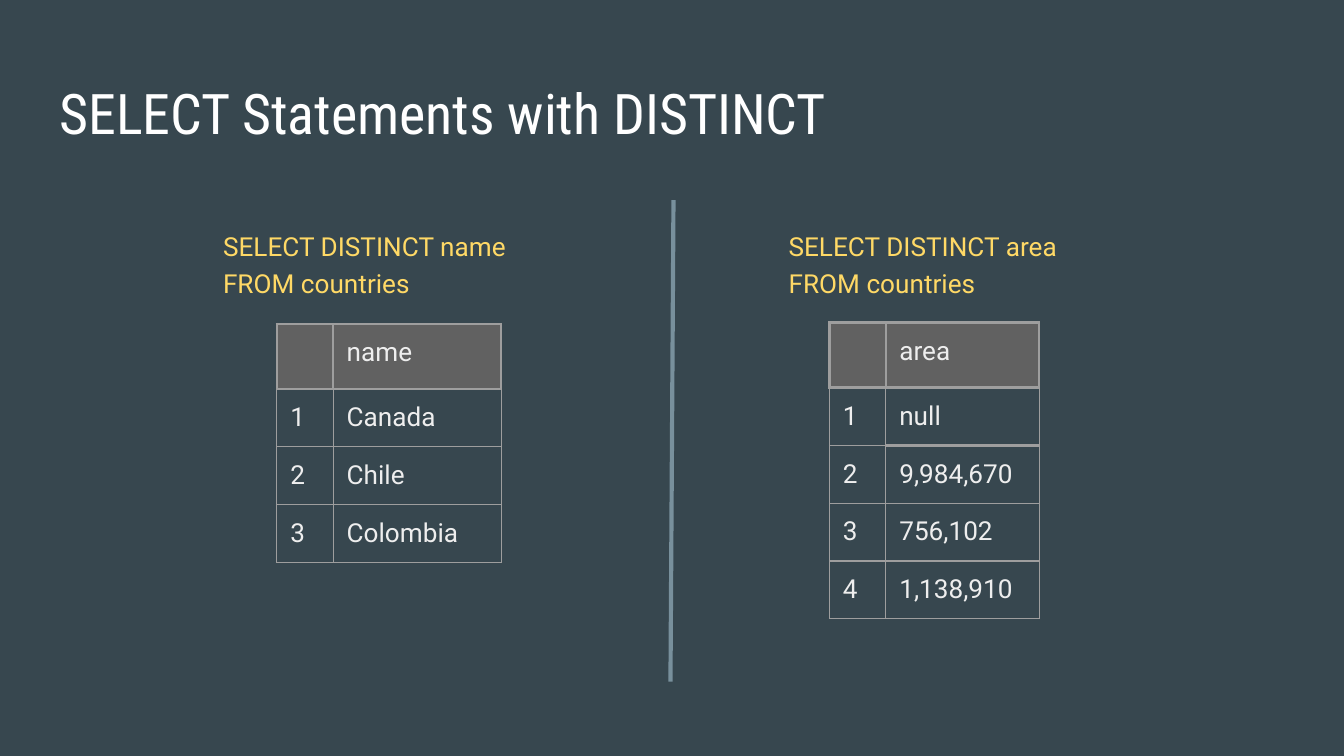
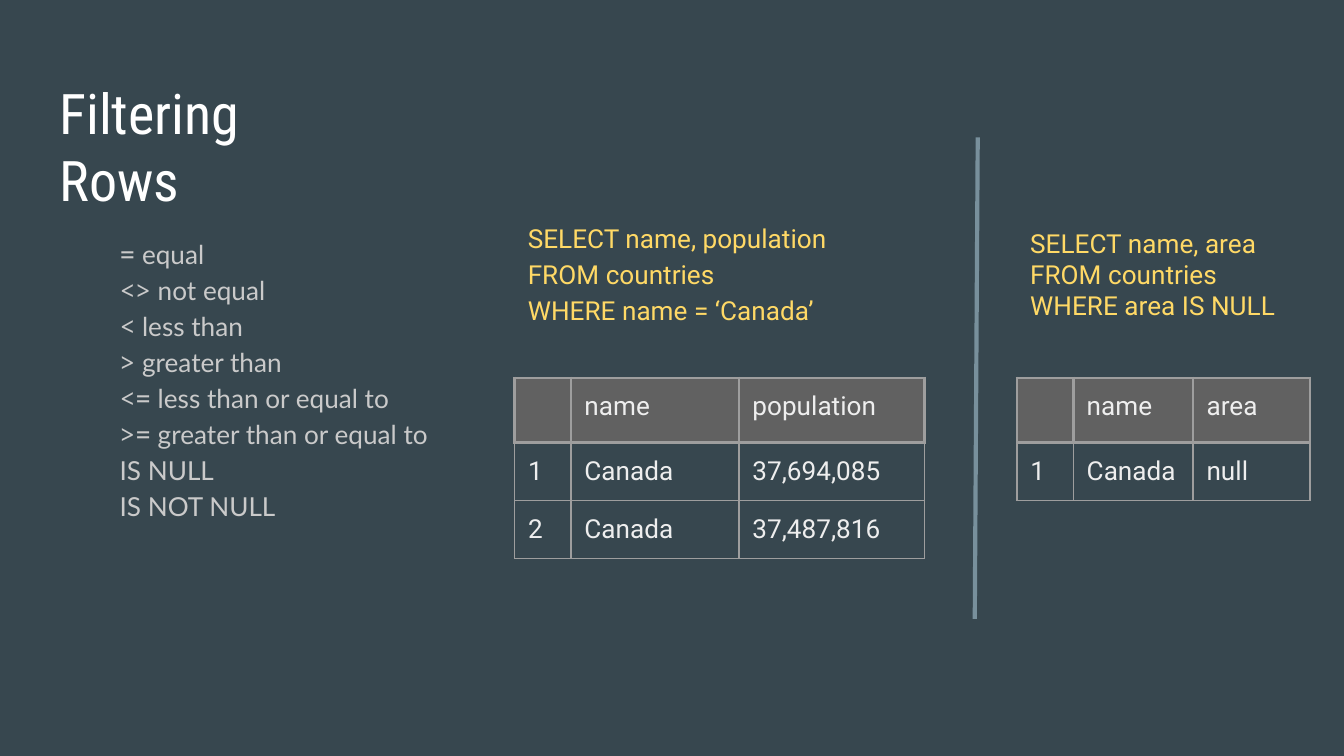
"""Build two slides on DISTINCT queries and row filters."""
from dataclasses import dataclass

from lxml.etree import SubElement as Sub
from pptx import Presentation
from pptx.dml.color import RGBColor
from pptx.enum.shapes import MSO_CONNECTOR as Conn
from pptx.enum.text import MSO_ANCHOR as Anchor, MSO_AUTO_SIZE as Auto, PP_ALIGN as Align
from pptx.oxml.ns import qn
from pptx.slide import Slide
from pptx.text.text import TextFrame
from pptx.util import Pt

SLATE = RGBColor(0x37, 0x47, 0x4F)
WHITE = RGBColor(0xFF, 0xFF, 0xFF)
GOLD = RGBColor(0xFF, 0xD9, 0x66)
SILVER = RGBColor(0xCA, 0xCA, 0xCA)
PALE = RGBColor(0xEE, 0xEE, 0xEE)
GRAY = RGBColor(0x61, 0x61, 0x61)
EDGE = RGBColor(0x9E, 0x9E, 0x9E)
STEEL = RGBColor(0x78, 0x90, 0x9C)

HEAD, BODY, LIST, MONO = "Roboto Condensed", "Roboto", "Lato", "Noto Sans Mono"
INSET = Pt(7.2)
THIN, THICK = Pt(0.75), Pt(1.5)
TOP_ROW, ROW, FIRST_COL = 34.8, 30.9, 30.2


@dataclass
class Query:
    """SQL lines in a text box."""
    left: float
    top: float
    width: float
    height: float
    lines: list[str]
    space: float = 1.15


@dataclass
class Grid:
    """A result table with numbered rows and an optional thick edge above one cell."""
    left: float
    top: float
    widths: list[float]
    names: list[str]
    rows: list[list[str]]
    mark: tuple[int, int] | None = None


@dataclass
class Page:
    """One slide: its title width, divider foot, queries and grids."""
    title: str
    width: float
    foot: tuple[float, float]
    queries: list[Query]
    grids: list[Grid]


PAGES = [
    Page(
        "SELECT Statements with DISTINCT", 671, (359.2, 365.2),
        [Query(112.4, 114, 192, 53, ["SELECT DISTINCT name", "FROM countries"]),
         Query(415.4, 114, 170, 53, ["SELECT DISTINCT area", "FROM countries"])],
        [Grid(148.3, 173.6, [90], ["name"], [["Canada"], ["Chile"], ["Colombia"]]),
         Grid(444.4, 172.8, [82.2], ["area"],
              [["null"], ["9,984,670"], ["756,102"], ["1,138,910"]], (2, 1))]),
    Page(
        "Filtering Rows", 177, (522.2, 331.6),
        [Query(275.7, 109.4, 177, 72,
               ["SELECT name, population", "FROM countries", "WHERE name = ‘Canada’"]),
         Query(544.8, 114.4, 157, 62,
               ["SELECT name, area", "FROM countries", "WHERE area IS NULL"], 1)],
        [Grid(275.7, 202.4, [90, 99.4], ["name", "population"],
              [["Canada", "37,694,085"], ["Canada", "37,487,816"]]),
         Grid(544.8, 202.4, [64.2, 62.6], ["name", "area"], [["Canada", "null"]])]),
]

TESTS = [
    ("=", " equal"), ("<>", " not equal"), ("<", " less than"), (">", " greater than"),
    ("<=", " less than or equal to"), (">=", " greater than or equal to"),
    ("", "IS NULL"), ("", "IS NOT NULL"),
]


def style(item, name: str, size: float, color: RGBColor) -> None:
    """Set the font of a paragraph."""
    item.font.name, item.font.size = name, Pt(size)
    item.font.color.rgb = color


def prep(frame: TextFrame) -> None:
    """Give a text frame its insets, wrap and top anchor."""
    frame.margin_left = frame.margin_right = INSET
    frame.margin_top = frame.margin_bottom = INSET
    frame.word_wrap, frame.auto_size = True, Auto.NONE
    frame.vertical_anchor = Anchor.TOP


def add_title(slide: Slide, text: str, width: float) -> None:
    """Place and format the title."""
    title = slide.shapes.title
    title.left, title.top, title.width, title.height = Pt(24.6), Pt(35), Pt(width), Pt(45)
    prep(title.text_frame)
    title.text_frame.text = text
    para = title.text_frame.paragraphs[0]
    para.alignment = Align.LEFT
    style(para, HEAD, 30, WHITE)


def add_lines(slide: Slide, box: Query, name: str, color: RGBColor) -> TextFrame:
    """Draw a text box with one paragraph for each line."""
    frame = slide.shapes.add_textbox(
        Pt(box.left), Pt(box.top), Pt(box.width), Pt(box.height)).text_frame
    prep(frame)
    frame.text = "\n".join(box.lines)
    for para in frame.paragraphs:
        para.line_spacing = box.space
        style(para, name, 14, color)
    return frame


def add_tests(slide: Slide) -> None:
    """Draw the list of operators, with symbols in the mono font."""
    box = Query(57, 118, 184, 178, [sign for sign, _ in TESTS])
    frame = add_lines(slide, box, LIST, SILVER)
    for para, (_, text) in zip(frame.paragraphs, TESTS):
        for run in para.runs:
            run.font.name = MONO
        para.add_run().text = text


def add_edge(cell, side: str, width: int) -> None:
    """Draw one border of a cell."""
    line = Sub(cell._tc.get_or_add_tcPr(), qn(f"a:ln{side}"), w=str(width))
    Sub(Sub(line, qn("a:solidFill")), qn("a:srgbClr"), val=str(EDGE))


def add_grid(slide: Slide, grid: Grid) -> None:
    """Draw a table with a gray header row."""
    data = [["", *grid.names]]
    data += [[str(num), *row] for num, row in enumerate(grid.rows, 1)]
    widths = [FIRST_COL, *grid.widths]
    high = TOP_ROW + ROW * len(grid.rows)
    table = slide.shapes.add_table(
        len(data), len(widths), Pt(grid.left), Pt(grid.top),
        Pt(sum(widths)), Pt(high)).table
    table.first_row = table.horz_banding = False
    for col, width in zip(table.columns, widths):
        col.width = Pt(width)
    for r, texts in enumerate(data):
        table.rows[r].height = Pt(ROW if r else TOP_ROW)
        for c, text in enumerate(texts):
            cell = table.cell(r, c)
            cell.margin_left = cell.margin_right = INSET
            cell.margin_top = cell.margin_bottom = INSET
            cell.text = text
            style(cell.text_frame.paragraphs[0], BODY, 14, PALE)
            wall = THIN if r else THICK
            roof, base = (THICK if n < 2 or (n, c) == grid.mark else THIN
                          for n in (r, r + 1))
            for side, width in zip("LRTB", (wall, wall, roof, base)):
                add_edge(cell, side, width)
            if r:
                cell.fill.background()
            else:
                cell.fill.solid()
                cell.fill.fore_color.rgb = GRAY


def add_rule(slide: Slide, x: float, y: float) -> None:
    """Draw the slightly tilted divider up from its foot."""
    rule = slide.shapes.add_connector(
        Conn.STRAIGHT, Pt(x), Pt(y), Pt(x + 1.6), Pt(y - 258))
    rule.line.color.rgb, rule.line.width = STEEL, Pt(2.25)
    Sub(rule._element.spPr, qn("a:effectLst"))


def main() -> None:
    """Build and save the deck."""
    deck = Presentation()
    deck.slide_width, deck.slide_height = Pt(720), Pt(405)
    fill = deck.slide_master.background.fill
    fill.solid()
    fill.fore_color.rgb = SLATE
    for page in PAGES:
        slide = deck.slides.add_slide(deck.slide_layouts[5])
        add_title(slide, page.title, page.width)
        for query, grid in zip(page.queries, page.grids):
            add_lines(slide, query, BODY, GOLD)
            add_grid(slide, grid)
        add_rule(slide, *page.foot)
    add_tests(slide)
    deck.save("out.pptx")


if __name__ == "__main__":
    main()
